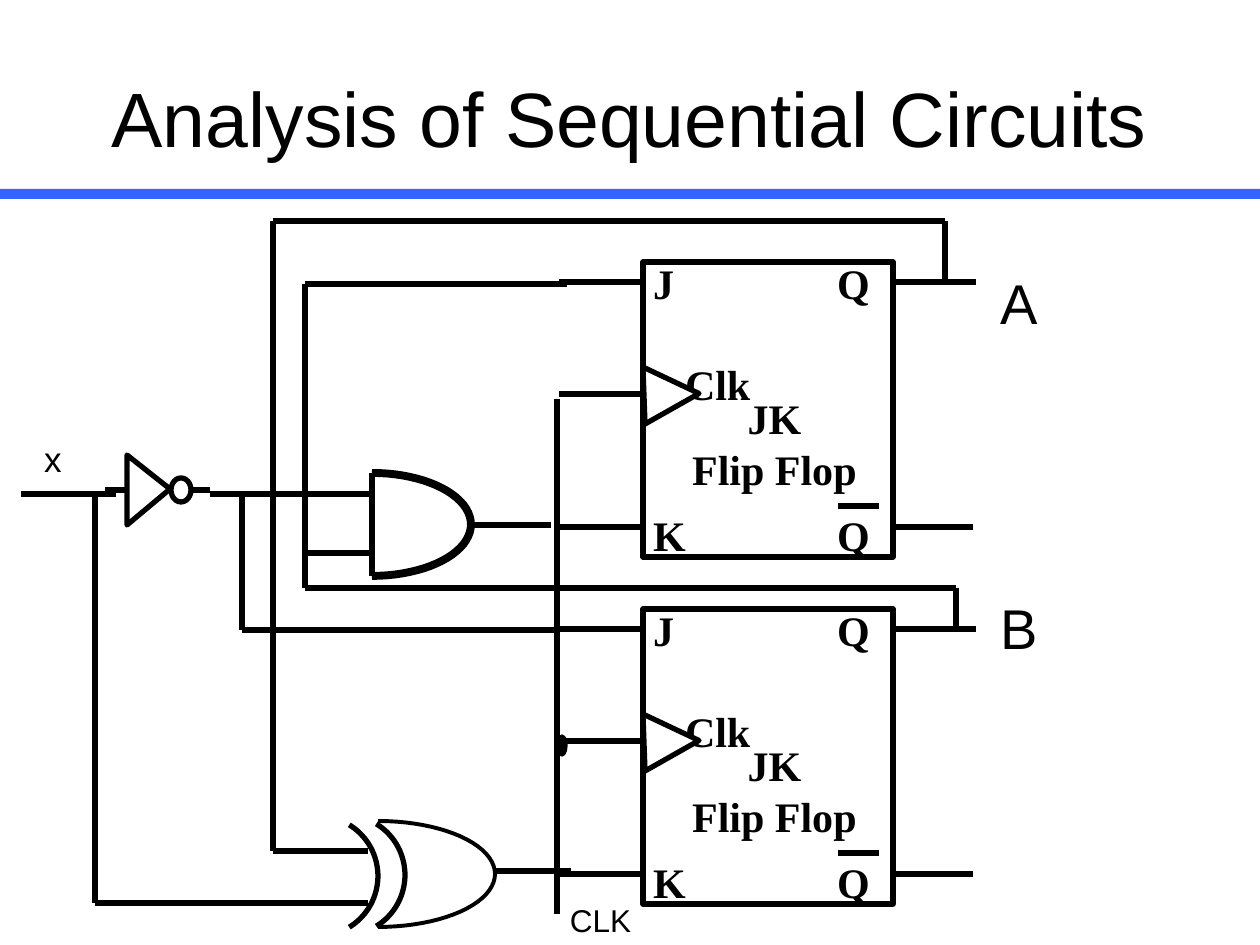
import math

import pptx
import pptx.dml.color
import pptx.enum.shapes
import pptx.enum.text
import pptx.oxml
import pptx.oxml.ns
import pptx.util

SCALE = 914400 / 126
BLACK = pptx.dml.color.RGBColor(0x00, 0x00, 0x00)
WHITE = pptx.dml.color.RGBColor(0xFF, 0xFF, 0xFF)
BLUE = pptx.dml.color.RGBColor(0x33, 0x66, 0xFF)
SHAPE = pptx.enum.shapes.MSO_SHAPE
ALIGN = pptx.enum.text.PP_ALIGN
SERIF = {"name": "Times New Roman", "bold": True}
SANS = {"name": "Arial", "bold": False}


def px(n):
    return pptx.util.Emu(round(n * SCALE))


def style(shape, fill=WHITE, width=3):
    shape.shadow.inherit = False
    if fill is None:
        shape.fill.background()
    else:
        shape.fill.solid()
        shape.fill.fore_color.rgb = fill
    if width:
        shape.line.color.rgb = BLACK
        shape.line.width = pptx.util.Pt(width)
    else:
        shape.line.fill.background()


def preset(slide, kind, x, y, w, h, **look):
    shape = slide.shapes.add_shape(kind, px(x), px(y), px(w), px(h))
    style(shape, **look)
    return shape


def wire(slide, x, y, *points):
    """Join the points, given relative to x and y, by straight lines."""
    for (ax, ay), (bx, by) in zip(points, points[1:]):
        line = slide.shapes.add_connector(
            pptx.enum.shapes.MSO_CONNECTOR.STRAIGHT,
            px(x + ax), px(y + ay), px(x + bx), px(y + by))
        line.line.color.rgb = BLACK
        line.line.width = pptx.util.Pt(3)
        props = line._element.spPr
        props.append(pptx.oxml.parse_xml(
            "<a:effectLst %s/>" % pptx.oxml.ns.nsdecls("a")))


def outline(slide, points, close=False, **look):
    spots = [(px(x), px(y)) for x, y in points]
    form = slide.shapes.build_freeform(*spots[0])
    form.add_line_segments(spots[1:], close=close)
    style(form.convert_to_shape(), **look)


def arc(cx, cy, rx, ry, reach=90, steps=40):
    """Points from -reach to reach degrees, bulging to the right."""
    turns = [math.radians(reach * (2 * i / steps - 1)) for i in range(steps + 1)]
    return [(cx + rx * math.cos(t), cy + ry * math.sin(t)) for t in turns]


def label(slide, x, y, w, h, rows, size, font, align=ALIGN.LEFT):
    """Rows are (text, blank lines above, left indent)."""
    frame = slide.shapes.add_textbox(px(x), px(y), px(w), px(h)).text_frame
    left = 13 if align == ALIGN.LEFT else 0
    for key, value in {"word_wrap": True, "margin_left": px(left),
                       "margin_right": 0, "margin_top": px(6),
                       "margin_bottom": px(6)}.items():
        setattr(frame, key, value)
    lead = 1.2 * size
    for i, (text, gap, indent) in enumerate(rows):
        para = frame.add_paragraph() if i else frame.paragraphs[0]
        if indent:
            para._p.get_or_add_pPr().set("marL", str(px(indent)))
        para.alignment = align
        para.line_spacing = pptx.util.Pt(lead)
        if gap:
            para.space_before = pptx.util.Pt(gap * lead)
        run = para.add_run()
        run.text = text
        for key, value in dict(font, size=pptx.util.Pt(size)).items():
            setattr(run.font, key, value)
        run.font.color.rgb = BLACK


def header(slide, x, y, w, h):
    preset(slide, SHAPE.RECTANGLE, 0, y + 151, 1260, 10, fill=BLUE, width=0)
    title = slide.shapes.title
    for key, value in {"left": x, "top": y, "width": w, "height": h}.items():
        setattr(title, key, px(value))
    frame = title.text_frame
    frame.text = "Analysis of Sequential Circuits"
    frame.vertical_anchor = pptx.enum.text.MSO_ANCHOR.MIDDLE
    para = frame.paragraphs[0]
    para.alignment = ALIGN.CENTER
    for key, value in dict(SANS, size=pptx.util.Pt(44)).items():
        setattr(para.font, key, value)
    para.font.color.rgb = BLACK


def flipflop(slide, x, y, w=250, h=295):
    preset(slide, SHAPE.RECTANGLE, x, y, w, h)
    label(slide, x - 3, y - 10, 122, 315,
          [("J", 0, 0), ("Clk", 1, 32), ("K", 2, 0)], 24, SERIF)
    label(slide, x + 181, y - 10, 58, 315,
          [("Q", 0, 0), ("Q", 4, 0)], 24, SERIF)
    for start, end, row in ((0, -84, 20), (-3, -86, 265), (0, -84, 132),
                            (w + 80, w - 3, 265), (w + 83, w, 20)):
        wire(slide, x, y, (start, row), (end, row))
    label(slide, x + 37, y + 125, 189, 113,
          [("JK", 0, 0), ("Flip Flop", 0, 0)], 24, SERIF, ALIGN.CENTER)
    wire(slide, x, y, (195, 244), (236, 244))
    clock = preset(slide, SHAPE.ISOSCELES_TRIANGLE, x, y + 105, 57, 55)
    clock.rotation = 87.9


def and_gate(slide, x, y, w=99, h=103):
    outline(slide, arc(x, y + h / 2, w, h / 2), width=4.5)
    wire(slide, x, y, (0, 0), (0, h))
    wire(slide, x, y, (-68, 80), (-3, 80))
    wire(slide, x, y, (w + 2, 52), (179, 52))
    wire(slide, x, y, (-70, 21), (0, 21))


def xor_gate(slide, x, y, w=148, h=106):
    outline(slide, arc(x + 31, y + h / 2, w - 31, h / 2), width=2.25)
    for shift, drop in ((0, 0), (27, -1)):
        outline(slide, arc(x - 29 + shift, y + 55 + drop, 60, 60, 58.5), fill=None)
    wire(slide, x, y, (w - 1, 50), (224, 50))


def inverter(slide, x, y):
    preset(slide, SHAPE.OVAL, x + 66, y + 23, 20, 24)
    wire(slide, x, y, (0, 35), (20, 35))
    wire(slide, x, y, (88, 35), (105, 35))
    outline(slide, [(x + 22, y), (x + 65, y + 34), (x + 22, y + 70)], close=True)


def wiring(slide, x, y):
    wire(slide, x, y, (557, 630), (242, 630), (242, 494))
    wire(slide, x, y, (305, 494), (210, 494))
    wire(slide, x, y, (557, 399), (557, 914))
    preset(slide, SHAPE.OVAL, x + 557, y + 735, 10, 21, fill=BLACK, width=0.75)
    wire(slide, x, y, (368, 903), (95, 903), (95, 494))
    wire(slide, x, y, (21, 494), (116, 494))
    wire(slide, x, y, (368, 851), (273, 851), (273, 221), (945, 221), (945, 284))
    wire(slide, x, y, (956, 630), (956, 588), (305, 588), (305, 284), (567, 284))


def main():
    deck = pptx.Presentation()
    deck.slide_width, deck.slide_height = px(1260), px(945)
    slide = deck.slides.add_slide(deck.slide_layouts[5])
    header(slide, 63, 38, 1134, 158)
    for top in (262, 609):
        flipflop(slide, 643, top)
    and_gate(slide, 372, 473)
    xor_gate(slide, 347, 821)
    inverter(slide, 105, 455)
    wiring(slide, 0, 0)
    for text, x, y, w, h, size in (
            ("A", 987, 262, 95, 81, 32), ("B", 987, 588, 95, 81, 32),
            ("CLK", 557, 895, 95, 50, 18), ("x", 31, 431, 42, 55, 20)):
        label(slide, x, y, w, h, [(text, 0, 0)], size, SANS)
    deck.save("out.pptx")


if __name__ == "__main__":
    main()
